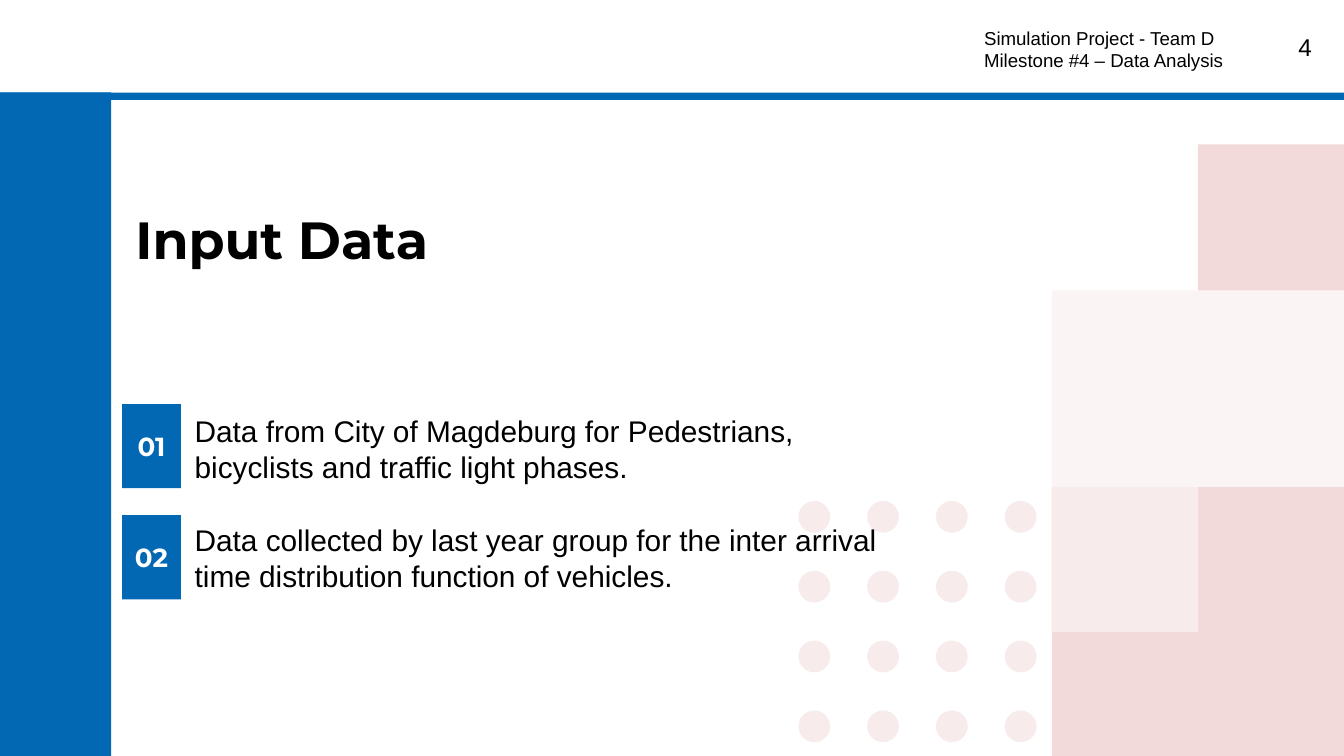
from lxml import etree
from pptx import Presentation
from pptx.dml.color import RGBColor
from pptx.enum.shapes import MSO_SHAPE
from pptx.enum.text import MSO_ANCHOR, PP_ALIGN
from pptx.oxml.ns import qn
from pptx.util import Cm, Pt

RECTANGLE, OVAL = MSO_SHAPE.RECTANGLE, MSO_SHAPE.OVAL
TOP, MIDDLE = MSO_ANCHOR.TOP, MSO_ANCHOR.MIDDLE
LEFT, CENTER, RIGHT = PP_ALIGN.LEFT, PP_ALIGN.CENTER, PP_ALIGN.RIGHT

BLUE = RGBColor(0x02, 0x68, 0xB4)
PINK = RGBColor(0xF2, 0xDA, 0xDA)
PALE_PINK = RGBColor(0xF7, 0xEB, 0xEB)
WHITE = RGBColor(0xFF, 0xFF, 0xFF)
BLACK = RGBColor(0x00, 0x00, 0x00)

WIDTH, HEIGHT = 25.4, 14.29

deck = Presentation()
deck.slide_width, deck.slide_height = Cm(WIDTH), Cm(HEIGHT)
page = deck.slides.add_slide(deck.slide_layouts[5])


def add_block(kind, left, top, width, height, color):
    block = page.shapes.add_shape(kind, Cm(left), Cm(top), Cm(width), Cm(height))
    block.shadow.inherit = False
    block.fill.solid()
    block.fill.fore_color.rgb = color
    block.line.fill.background()
    return block


def write_text(shape, lines, font, size, color=BLACK, bold=False, align=LEFT,
               anchor=TOP, side=0.25, edge=0.25):
    frame = shape.text_frame
    frame.word_wrap = True
    frame.vertical_anchor = anchor
    frame.margin_left = frame.margin_right = Cm(side)
    frame.margin_top = frame.margin_bottom = Cm(edge)
    frame.text = "\n".join(lines)
    for para in frame.paragraphs:
        para.alignment = align
        para.font.name = font
        para.font.size = Pt(size)
        para.font.bold = bold
        para.font.color.rgb = color


# Dot grid
for row in range(4):
    for column in range(4):
        add_block(OVAL, 15.09 + 1.3 * column, 9.47 + 1.32 * row, 0.6, 0.6, PALE_PINK)

# Pink squares on the right, built on one square module
SQUARE = 2.76
squares_left = WIDTH - 2 * SQUARE
panel_top = 5.49
lower_top = 9.21
panel = add_block(RECTANGLE, squares_left, panel_top, 2 * SQUARE, lower_top - panel_top, PINK)
panel_color = panel.fill._xPr.find(qn("a:solidFill"))[0]
etree.SubElement(panel_color, qn("a:alpha"), val="28000")
add_block(RECTANGLE, WIDTH - SQUARE, panel_top - SQUARE, SQUARE, SQUARE, PINK)
add_block(RECTANGLE, squares_left, lower_top, 2 * SQUARE, HEIGHT - lower_top, PINK)
add_block(RECTANGLE, squares_left, lower_top, SQUARE, SQUARE - 0.02, PALE_PINK)

# Side bar and header
add_block(RECTANGLE, 0, 0, 2.1, HEIGHT, BLUE)
add_block(RECTANGLE, 0, 0, WIDTH, 1.75, WHITE)
add_block(RECTANGLE, 0, 1.75, WIDTH, 0.14, BLUE)

header = page.shapes.add_textbox(Cm(18.35), Cm(0.25), Cm(5.92), Cm(1.42))
write_text(header, ["Simulation Project - Team D", "Milestone #4 – Data Analysis"], "Arial", 10)
page_number = page.shapes.add_textbox(Cm(23.52), Cm(0.36), Cm(1.52), Cm(1.09))
write_text(page_number, ["4"], "Arial", 13, align=RIGHT)

# Title
title = page.shapes.title
title.left, title.top, title.width, title.height = Cm(2.31), Cm(3.66), Cm(9.25), Cm(1.88)
write_text(title, ["Input Data"], "Montserrat", 28, bold=True)

# Numbered items: number, text, badge top, text top
items = [
    ("01", "Data from City of Magdeburg for Pedestrians, bicyclists and traffic light phases.",
     7.64, 7.67),
    ("02", "Data collected by last year group for the inter arrival time distribution "
     "function of vehicles.", 9.74, 9.73),
]
for number, text, badge_top, text_top in items:
    badge = add_block(RECTANGLE, 2.31, badge_top, 1.11, 1.59, BLUE)
    write_text(badge, [number], "Montserrat", 14, WHITE, True, CENTER, MIDDLE, side=0)
    box = page.shapes.add_textbox(Cm(3.43), Cm(text_top), Cm(14.07), Cm(1.63))
    write_text(box, [text], "Arial", 16, edge=0.13)

deck.save("out.pptx")
